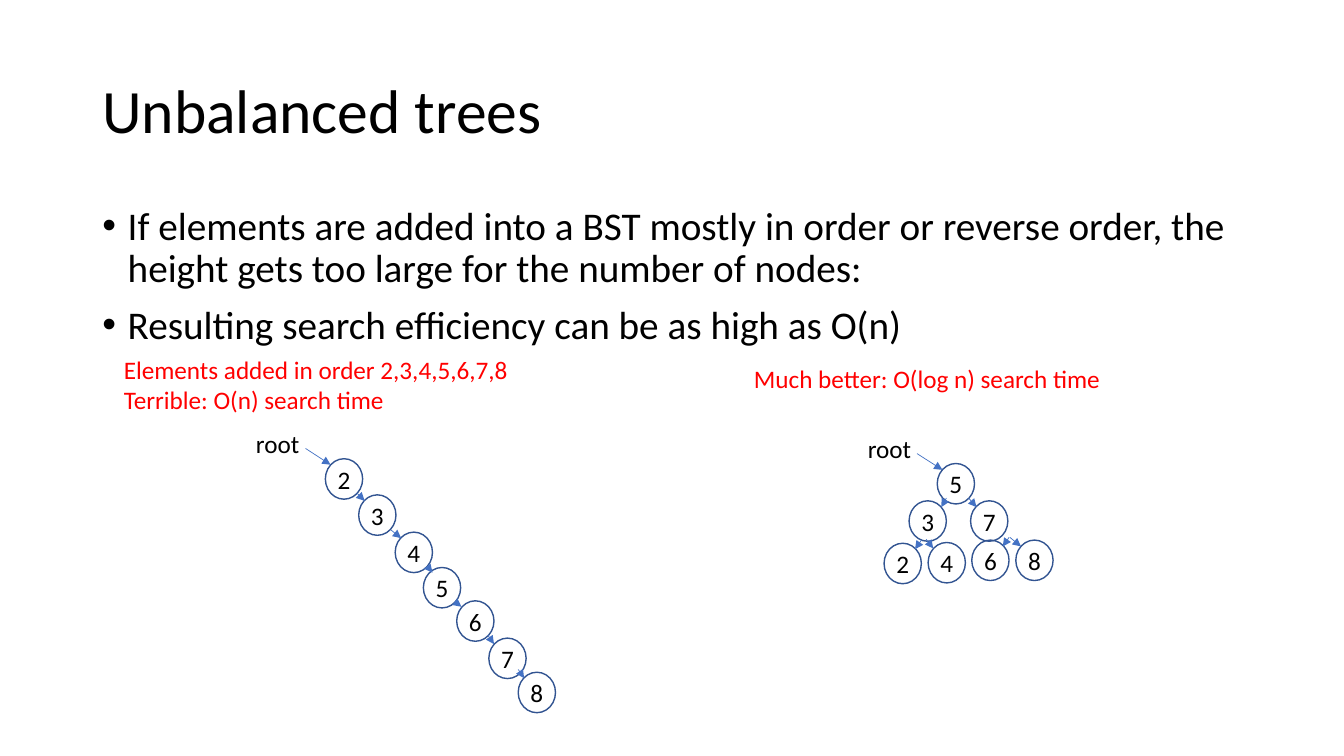
import pptx
import pptx.util
import pptx.dml.color
import pptx.enum.shapes
import pptx.enum.text
import pptx.oxml
import pptx.oxml.ns
from pptx.util import Cm

BLACK = pptx.dml.color.RGBColor(0x00, 0x00, 0x00)
RED = pptx.dml.color.RGBColor(0xFF, 0x00, 0x00)
NODE_BLUE = pptx.dml.color.RGBColor(0x32, 0x54, 0x91)
ARROW_BLUE = pptx.dml.color.RGBColor(0x44, 0x72, 0xC4)
NODE_WIDTH, NODE_HEIGHT = Cm(0.94), Cm(1.02)
INDENT = Cm(0.64)

deck = pptx.Presentation()
deck.slide_width, deck.slide_height = Cm(33.87), Cm(19.05)
slide = deck.slides.add_slide(deck.slide_layouts[6])


def write(shape, lines, size, color, **paragraph_format):
    """Fill a shape with one paragraph per line."""
    frame = shape.text_frame
    frame.word_wrap = True
    frame.text = "\n".join(lines)
    for paragraph in frame.paragraphs:
        for key, value in paragraph_format.items():
            setattr(paragraph, key, value)
        font = {"name": "Calibri", "size": pptx.util.Pt(size)}
        for key, value in font.items():
            setattr(paragraph.runs[0].font, key, value)
        paragraph.runs[0].font.color.rgb = color
    return frame


def add_text(left, top, width, height, lines, size=18, color=BLACK, **paragraph_format):
    box = slide.shapes.add_textbox(Cm(left), Cm(top), Cm(width), Cm(height))
    return write(box, lines, size, color, **paragraph_format)


# Title
title = add_text(2.33, 1.02, 29.21, 3.68, ["Unbalanced trees"], 44, line_spacing=0.9)
title.vertical_anchor = pptx.enum.text.MSO_ANCHOR.MIDDLE

# Bulleted body
body = add_text(2.33, 5.08, 29.21, 12.09, [
    "If elements are added into a BST mostly in order or reverse order, "
    "the height gets too large for the number of nodes:",
    "Resulting search efficiency can be as high as O(n)",
], 28, line_spacing=0.9, space_before=pptx.util.Pt(10))
for point in body.paragraphs:
    properties = point._p.get_or_add_pPr()
    properties.set("marL", str(INDENT))
    properties.set("indent", str(-INDENT))
    for tag, attribute, value in (("a:buFont", "typeface", "Arial"), ("a:buChar", "char", "•")):
        bullet = pptx.oxml.parse_xml(f"<{tag} {pptx.oxml.ns.nsdecls('a')}/>")
        bullet.set(attribute, value)
        properties.append(bullet)

# Captions and root labels
add_text(2.87, 8.81, 14.35, 1.8, [
    "Elements added in order 2,3,4,5,6,7,8",
    "Terrible: O(n) search time",
], color=RED)
add_text(18.75, 9.02, 11.13, 1.02, ["Much better: O(log n) search time"], color=RED)
add_text(6.2, 10.67, 2.26, 1.02, ["root"])
add_text(21.62, 10.8, 2.26, 1.02, ["root"])

# Nodes: key, left, top
chain_nodes = [
    (2, 8.2, 11.56), (3, 9.04, 12.47), (4, 9.96, 13.41), (5, 10.67, 14.3),
    (6, 11.51, 15.14), (7, 12.32, 16.08), (8, 13.06, 16.94),
]
balanced_nodes = [
    (5, 23.62, 11.68),
    (3, 22.91, 12.62), (7, 24.46, 12.62),
    (2, 22.28, 13.69), (4, 23.39, 13.67), (6, 24.49, 13.61), (8, 25.6, 13.61),
]
for key, left, top in chain_nodes + balanced_nodes:
    node = slide.shapes.add_shape(
        pptx.enum.shapes.MSO_SHAPE.OVAL, Cm(left), Cm(top), NODE_WIDTH, NODE_HEIGHT)
    node.shadow.inherit = False
    node.fill.background()
    node.line.color.rgb = NODE_BLUE
    node.line.width = pptx.util.Pt(1)
    number = write(node, [str(key)], 18, BLACK, alignment=pptx.enum.text.PP_ALIGN.CENTER)
    number.vertical_anchor = pptx.enum.text.MSO_ANCHOR.MIDDLE
    for margin in ("margin_left", "margin_right", "margin_top", "margin_bottom"):
        setattr(number, margin, 0)

# Arrows: start x, start y, end x, end y
chain_arrows = [
    (7.7, 11.3, 8.33, 11.71), (8.99, 12.42, 9.19, 12.62), (9.86, 13.36, 10.11, 13.56),
    (10.77, 14.27, 10.9, 14.43), (11.46, 15.16, 11.63, 15.29),
    (12.29, 16, 12.45, 16.23), (13.06, 16.87, 13.21, 17.09),
]
balanced_arrows = [
    (23.11, 11.43, 23.75, 11.84),
    (23.85, 12.55, 23.72, 12.78), (24.41, 12.55, 24.61, 12.78),
    (23.22, 13.61, 23.06, 13.84), (23.34, 13.59, 23.52, 13.82),
    (25.43, 13.54, 25.27, 13.77), (25.45, 13.54, 25.73, 13.77),
]
for ends in chain_arrows + balanced_arrows:
    arrow = slide.shapes.add_connector(
        pptx.enum.shapes.MSO_CONNECTOR.STRAIGHT, *[Cm(value) for value in ends])
    arrow.line.color.rgb = ARROW_BLUE
    arrow.line.width = pptx.util.Pt(0.5)
    head = pptx.oxml.parse_xml(f"<a:tailEnd {pptx.oxml.ns.nsdecls('a')} type='triangle'/>")
    arrow.line._get_or_add_ln().append(head)
    no_effect = pptx.oxml.parse_xml(f"<a:effectLst {pptx.oxml.ns.nsdecls('a')}/>")
    arrow._element.spPr.append(no_effect)

deck.save("out.pptx")
